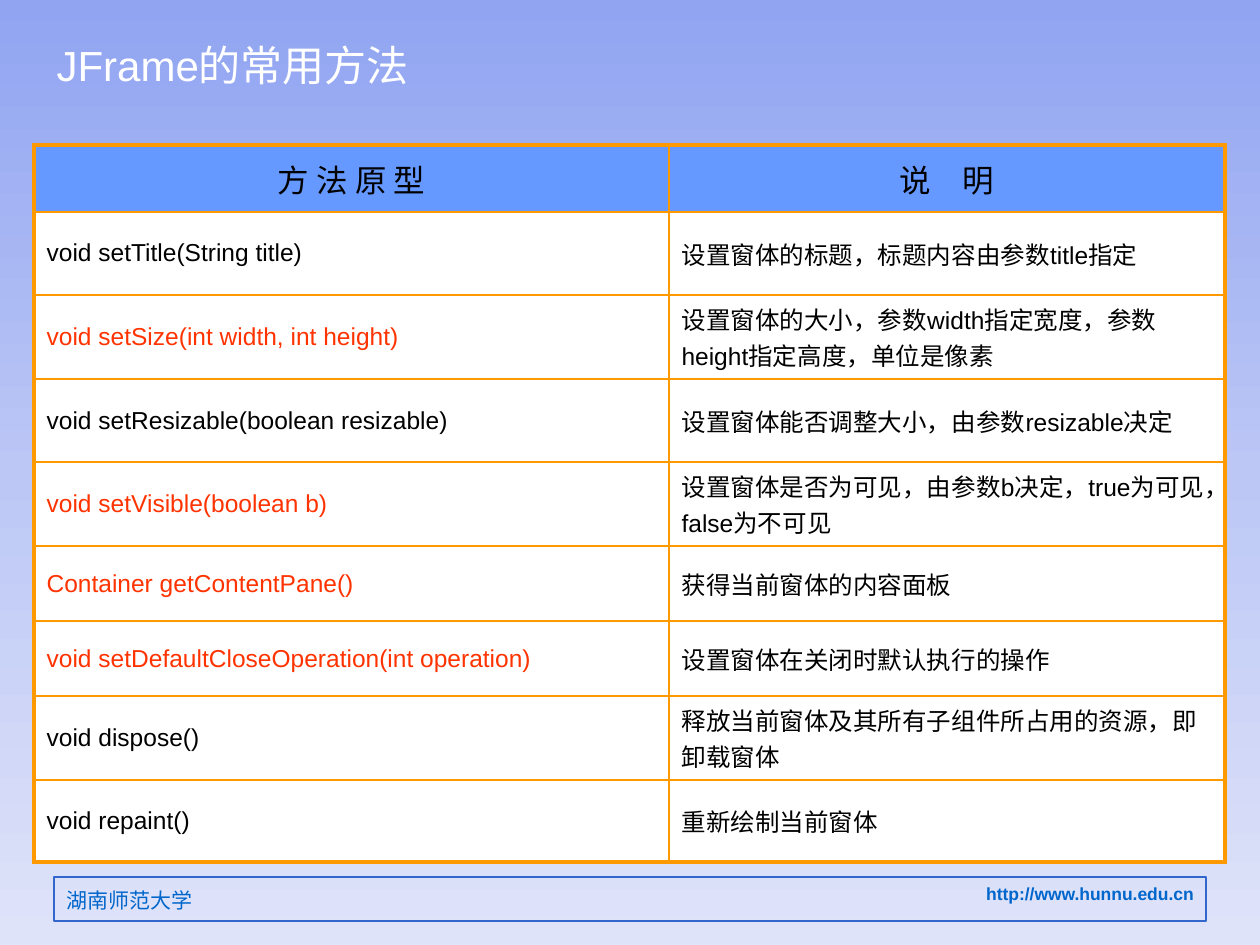
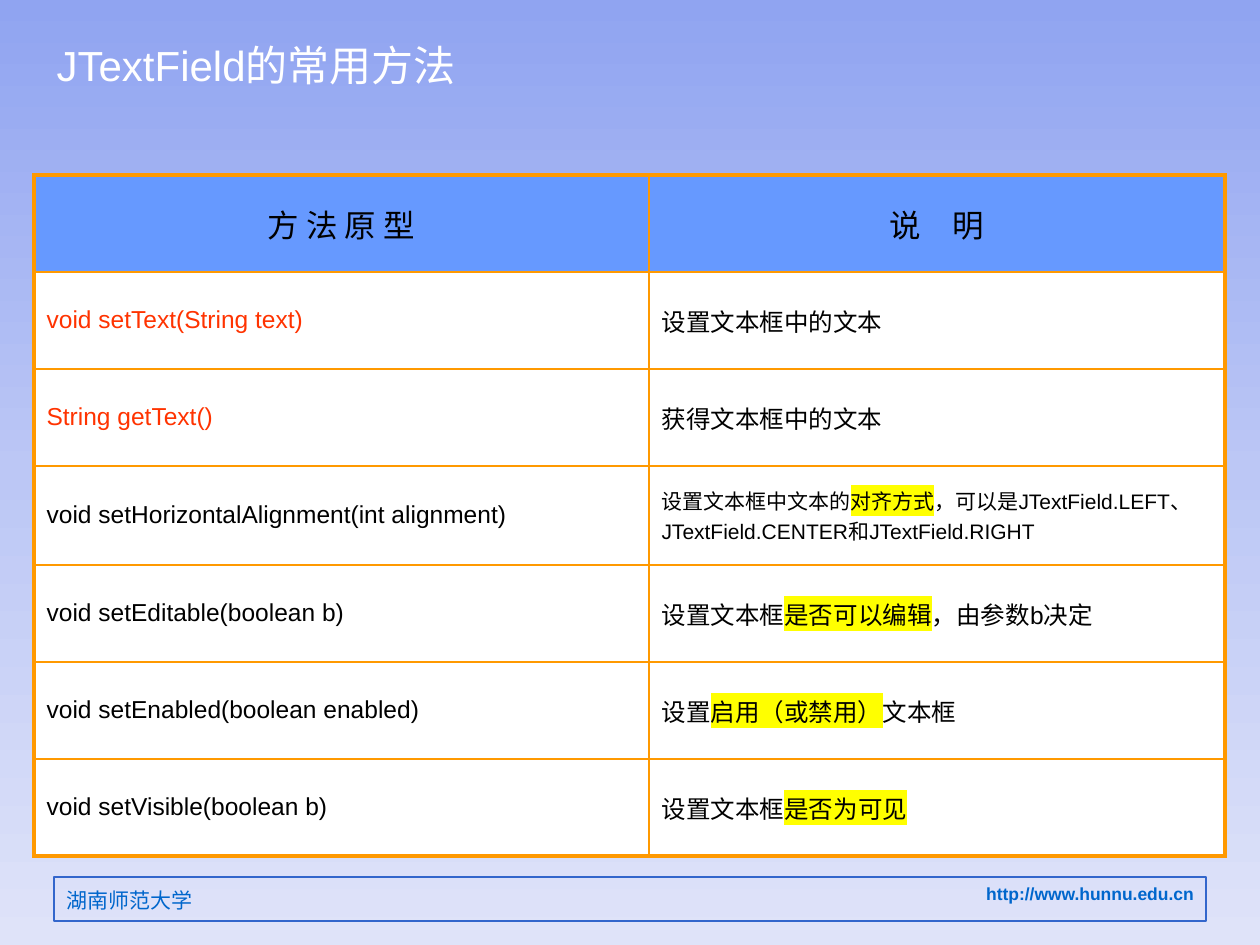
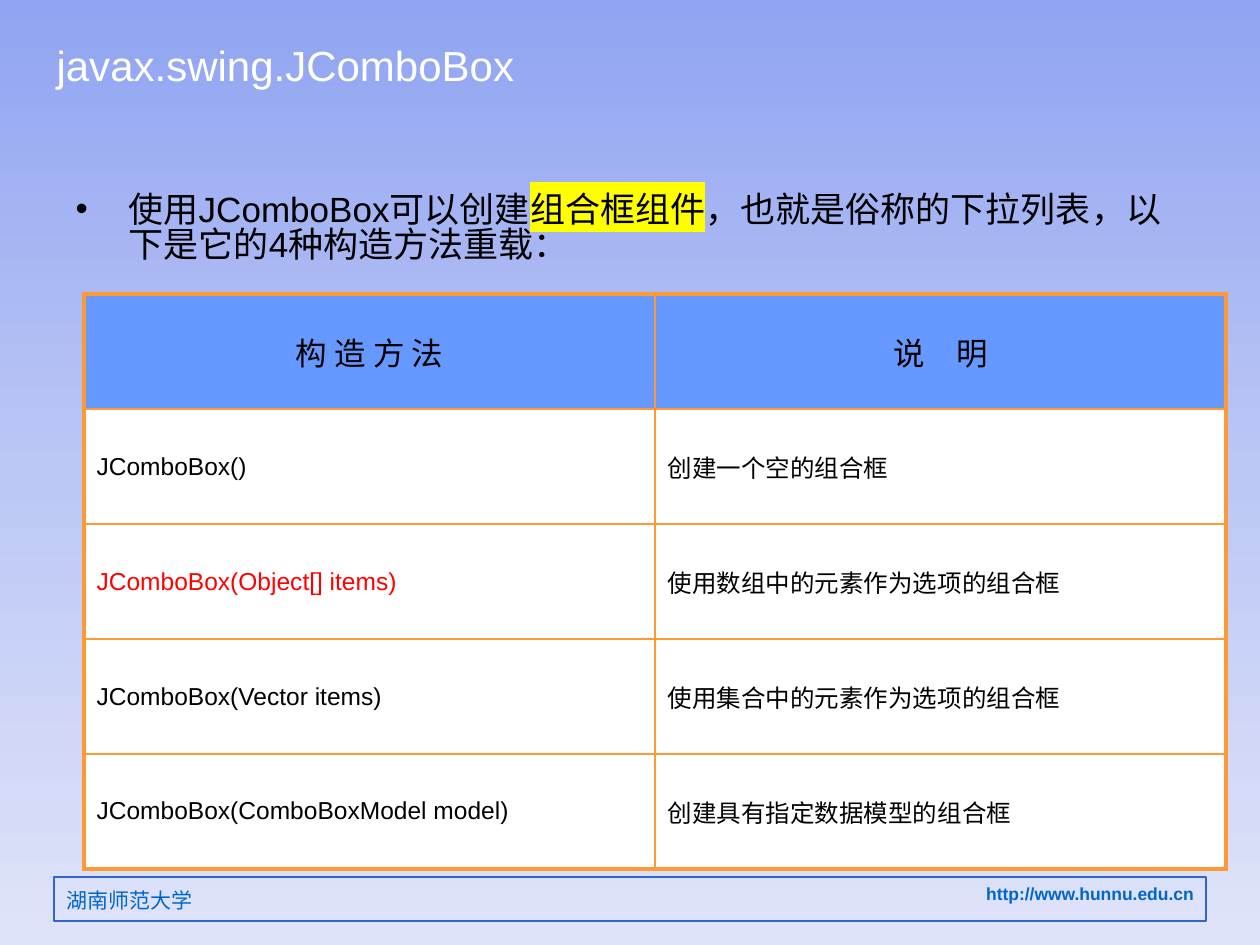
from copy import deepcopy
from typing import NamedTuple

from lxml import etree
from pptx import Presentation
from pptx.dml.color import RGBColor
from pptx.enum.shapes import MSO_SHAPE
from pptx.enum.text import MSO_ANCHOR, MSO_AUTO_SIZE, PP_ALIGN
from pptx.oxml.ns import qn
from pptx.util import Emu, Pt

RECTANGLE = MSO_SHAPE.RECTANGLE
TOP, MIDDLE = MSO_ANCHOR.TOP, MSO_ANCHOR.MIDDLE
LEFT, CENTER, RIGHT = PP_ALIGN.LEFT, PP_ALIGN.CENTER, PP_ALIGN.RIGHT
NO_AUTOFIT = MSO_AUTO_SIZE.NONE
CONTENT_LAYOUT, TITLE_ONLY_LAYOUT = 1, 5
PIXELS_PER_INCH = 126


class Theme:
    latin, mono, chinese = "Arial", "Courier New", "Noto Sans CJK SC"
    background = (("90A4F1", 0), ("BCC7F5", 0.5), ("DFE3F9", 1))
    white, black, highlight = "FFFFFF", "000000", "FFFF00"
    header_fill, footer_line, footer_text = "6699FF", "3366CC", "0066CC"
    outer_border, inner_border, footer_border = 2.25, 1, 0.75
    title, body, header, cell, small, link = 24, 20, 18, 14, 12, 10


class Method(NamedTuple):
    signature: str
    description: str
    important: bool = False
    size: int = Theme.cell


# Text between bars is highlighted.
SLIDES = [
    {
        "title": "JFrame的常用方法",
        "position": (34, 145),
        "columns": (635, 556),
        "rows": (67, 83, 83, 83, 83, 75, 75, 77, 82),
        "header": ("方 法 原 型", "说　明"),
        "methods": [
            Method("void setTitle(String title)", "设置窗体的标题，标题内容由参数title指定"),
            Method("void setSize(int width, int height)",
                   "设置窗体的大小，参数width指定宽度，参数height指定高度，单位是像素", True),
            Method("void setResizable(boolean resizable)",
                   "设置窗体能否调整大小，由参数resizable决定"),
            Method("void setVisible(boolean b)",
                   "设置窗体是否为可见，由参数b决定，true为可见，false为不可见", True),
            Method("Container getContentPane()", "获得当前窗体的内容面板", True),
            Method("void setDefaultCloseOperation(int operation)",
                   "设置窗体在关闭时默认执行的操作", True),
            Method("void dispose()", "释放当前窗体及其所有子组件所占用的资源，即卸载窗体"),
            Method("void repaint()", "重新绘制当前窗体"),
        ],
    },
    {
        "title": "JTextField的常用方法",
        "position": (34, 175),
        "columns": (615, 576),
        "rows": (97, 97, 97, 99, 97, 97, 97),
        "header": ("方 法 原 型", "说　明"),
        "methods": [
            Method("void setText(String text)", "设置文本框中的文本", True),
            Method("String getText()", "获得文本框中的文本", True),
            Method("void setHorizontalAlignment(int alignment)",
                   "设置文本框中文本的|对齐方式|，可以是JTextField.LEFT、"
                   "JTextField.CENTER和JTextField.RIGHT", size=Theme.small),
            Method("void setEditable(boolean b)", "设置文本框|是否可以编辑|，由参数b决定"),
            Method("void setEnabled(boolean enabled)", "设置|启用（或禁用）|文本框"),
            Method("void setVisible(boolean b)", "设置文本框|是否为可见|"),
        ],
    },
    {
        "title": "javax.swing.JComboBox",
        "body": "使用JComboBox可以创建|组合框组件|，也就是俗称的下拉列表，"
                "以下是它的4种构造方法重载：",
        "position": (84, 294),
        "columns": (571, 571),
        "rows": (115,) * 5,
        "header": ("构 造 方 法", "说　明"),
        "header_font": Theme.mono,
        "border": "FF9933",
        "important": "FF0000",
        "methods": [
            Method("JComboBox()", "创建一个空的组合框"),
            Method("JComboBox(Object[] items)", "使用数组中的元素作为选项的组合框", True),
            Method("JComboBox(Vector items)", "使用集合中的元素作为选项的组合框"),
            Method("JComboBox(ComboBoxModel model)", "创建具有指定数据模型的组合框"),
        ],
    },
]
TABLE_DEFAULTS = {"header_font": Theme.latin, "border": "FF9900", "important": "FF3300"}
FOOTER = {"school": "湖南师范大学", "link": "http://www.hunnu.edu.cn"}
SLIDE_SIZE = (1260, 945)
TITLE_BOX = (44, 26, 696, 77)
BODY_BOX = (63, 188, 1134, 656)
BODY_INDENT = 53
FOOTER_BOX = (54, 877, 1152, 44)
SCHOOL_BOX = (54, 881, 496, 38)


def px(length):
    return Emu(round(length * 914400 / PIXELS_PER_INCH))


def place(shape, box):
    for name, length in zip(("left", "top", "width", "height"), box):
        setattr(shape, name, px(length))


def write(text_frame, text, size, color, alignment=LEFT, anchor=TOP,
          font=Theme.latin, bold=False):
    """Fill the first paragraph, highlighting the parts between bars."""
    for name, value in {"word_wrap": True, "vertical_anchor": anchor}.items():
        setattr(text_frame, name, value)
    paragraph = text_frame.paragraphs[0]
    paragraph.alignment = alignment
    paragraph.space_before = Pt(0)
    for index, part in enumerate(text.split("|")):
        if not part:
            continue
        run = paragraph.add_run()
        run.text = part
        for name, value in {"size": Pt(size), "name": font, "bold": bold}.items():
            setattr(run.font, name, value)
        run.font.color.rgb = RGBColor.from_string(color)
        latin = run.font._element.find(qn("a:latin"))
        east_asian = etree.Element(qn("a:ea"), typeface=Theme.chinese)
        latin.addnext(east_asian)
        if index % 2:
            highlight = etree.Element(qn("a:highlight"))
            etree.SubElement(highlight, qn("a:srgbClr"), val=Theme.highlight)
            latin.addprevious(highlight)
    return paragraph


def set_background(master):
    fill = master.background.fill
    fill.gradient()
    fill.gradient_angle = 270
    first_stop = next(master.element.iter(qn("a:gs")))
    first_stop.addnext(deepcopy(first_stop))
    for stop, (color, position) in zip(fill.gradient_stops, Theme.background):
        stop.color.rgb = RGBColor.from_string(color)
        stop.position = position


def add_footer(slide, master):
    """Build the footer with the slide's tools, then move it to the master."""
    frame = slide.shapes.add_shape(RECTANGLE, *map(px, FOOTER_BOX))
    frame.shadow.inherit = False
    frame.fill.background()
    frame.line.color.rgb = RGBColor.from_string(Theme.footer_line)
    frame.line.width = Pt(Theme.footer_border)
    write(frame.text_frame, FOOTER["link"], Theme.link, Theme.footer_text, RIGHT, bold=True)
    school = slide.shapes.add_textbox(*map(px, SCHOOL_BOX))
    write(school.text_frame, FOOTER["school"], Theme.small, Theme.footer_text,
          font=Theme.chinese)
    for shape in (frame, school):
        master.element.cSld.spTree.append(shape.element)


def set_borders(cell, color, outer_sides):
    properties = cell._tc.get_or_add_tcPr()
    for index, side in enumerate("LRTB"):
        width = Theme.outer_border if side in outer_sides else Theme.inner_border
        line = etree.Element(qn(f"a:ln{side}"), w=str(Pt(width)))
        fill = etree.SubElement(line, qn("a:solidFill"))
        etree.SubElement(fill, qn("a:srgbClr"), val=color)
        properties.insert(index, line)


def add_method_table(slide, content):
    style = TABLE_DEFAULTS | content
    columns, rows = style["columns"], style["rows"]
    box = (*style["position"], sum(columns), sum(rows))
    table = slide.shapes.add_table(len(rows), len(columns), *map(px, box)).table
    table.horz_banding = False
    for column, width in zip(table.columns, columns):
        column.width = px(width)
    for row, height in zip(table.rows, rows):
        row.height = px(height)

    lines = [[(text, Theme.header, Theme.black, CENTER, MIDDLE, style["header_font"])
              for text in style["header"]]]
    for method in style["methods"]:
        color = style["important"] if method.important else Theme.black
        lines.append([(method.signature, Theme.cell, color, LEFT, MIDDLE),
                      (method.description, method.size, Theme.black, LEFT, MIDDLE)])
    for row_index, line in enumerate(lines):
        for column_index, text_format in enumerate(line):
            cell = table.cell(row_index, column_index)
            write(cell.text_frame, *text_format)
            cell.vertical_anchor = MIDDLE
            cell.fill.solid()
            cell.fill.fore_color.rgb = RGBColor.from_string(
                Theme.white if row_index else Theme.header_fill)
            outer_sides = "R" if column_index else "L"
            if row_index == 0:
                outer_sides += "T"
            if row_index == len(rows) - 1:
                outer_sides += "B"
            set_borders(cell, style["border"], outer_sides)


def add_body(slide, text):
    body = slide.placeholders[1]
    place(body, BODY_BOX)
    body.text_frame.auto_size = NO_AUTOFIT
    paragraph = write(body.text_frame, text, Theme.body, Theme.black)
    paragraph.line_spacing = 0.83
    properties = paragraph._p.get_or_add_pPr()
    properties.set("marL", str(px(BODY_INDENT)))
    properties.set("indent", str(-px(BODY_INDENT)))
    etree.SubElement(properties, qn("a:buChar"), char="•")


def main():
    presentation = Presentation()
    presentation.slide_width, presentation.slide_height = map(px, SLIDE_SIZE)
    master = presentation.slide_master
    set_background(master)
    for index, content in enumerate(SLIDES):
        layout = CONTENT_LAYOUT if "body" in content else TITLE_ONLY_LAYOUT
        slide = presentation.slides.add_slide(presentation.slide_layouts[layout])
        if index == 0:
            add_footer(slide, master)
        title = slide.shapes.title
        place(title, TITLE_BOX)
        title.text_frame.auto_size = NO_AUTOFIT
        write(title.text_frame, content["title"], Theme.title, Theme.white, anchor=MIDDLE)
        if "body" in content:
            add_body(slide, content["body"])
        add_method_table(slide, content)
    presentation.save("out.pptx")


if __name__ == "__main__":
    main()
